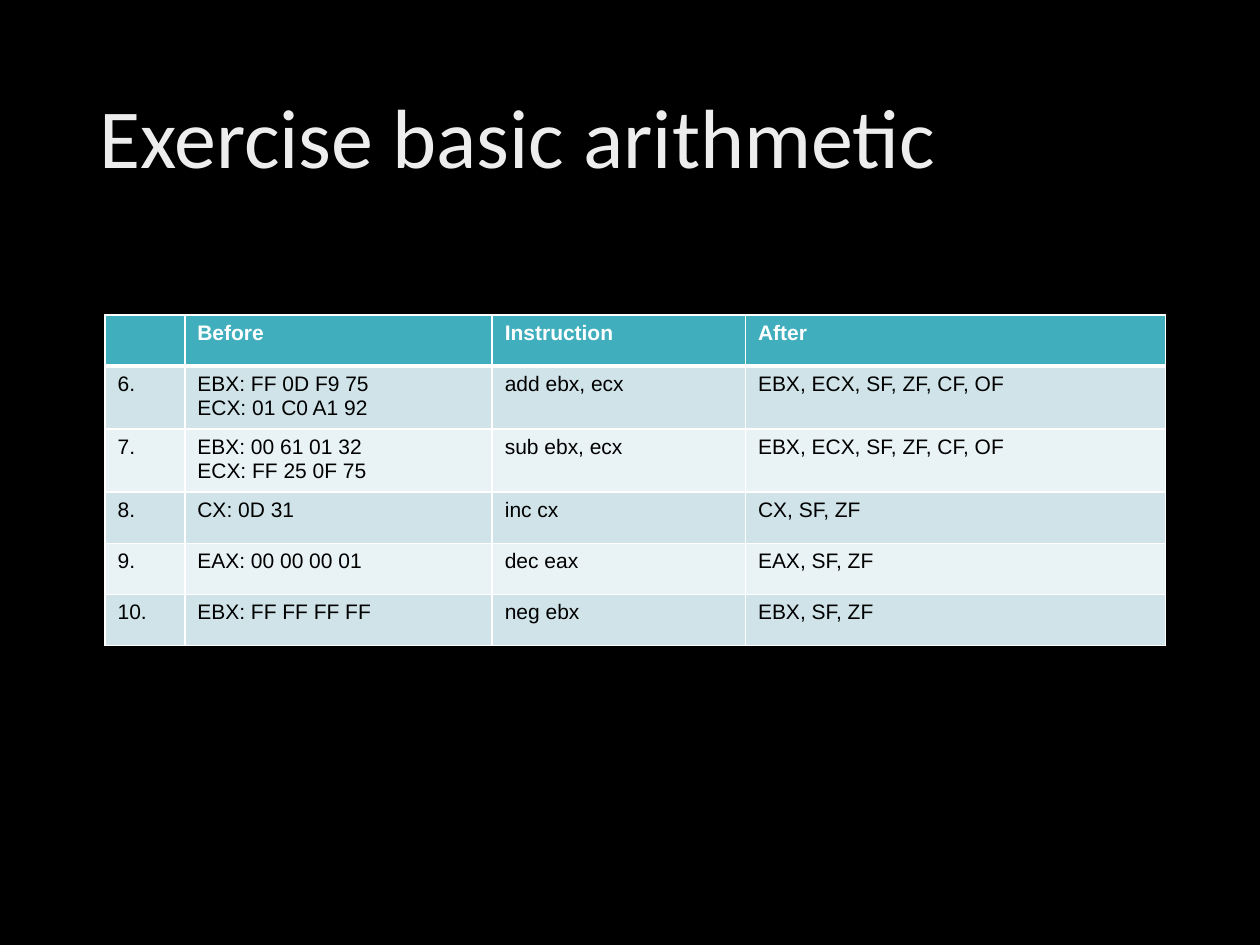
import pptx
import pptx.dml.color
import pptx.enum.text
import pptx.oxml.ns
import pptx.util
from lxml import etree

Pt = pptx.util.Pt
RGBColor = pptx.dml.color.RGBColor

BLACK = RGBColor(0x00, 0x00, 0x00)
WHITE = RGBColor(0xFF, 0xFF, 0xFF)
TITLE_GREY = RGBColor(0xED, 0xED, 0xED)
HEADER_TEAL = RGBColor(0x41, 0xAE, 0xBD)
BANDS = (RGBColor(0xCF, 0xE3, 0xE8), RGBColor(0xE9, 0xF2, 0xF4))

COLUMN_WIDTHS = (45.6, 175.7, 144.7, 240)
ROW_HEIGHT = 29.2
EXERCISES = (
    ("", "Before", "Instruction", "After"),
    ("6.", "EBX: FF 0D F9 75\nECX: 01 C0 A1 92", "add ebx, ecx", "EBX, ECX, SF, ZF, CF, OF"),
    ("7.", "EBX: 00 61 01 32\nECX: FF 25 0F 75", "sub ebx, ecx", "EBX, ECX, SF, ZF, CF, OF"),
    ("8.", "CX: 0D 31", "inc cx", "CX, SF, ZF"),
    ("9.", "EAX: 00 00 00 01", "dec eax", "EAX, SF, ZF"),
    ("10.", "EBX: FF FF FF FF", "neg ebx", "EBX, SF, ZF"),
)


def add_run(paragraph, text, font_name, size, color, bold=False):
    run = paragraph.add_run()
    run.text = text
    run.font.name = font_name
    run.font.size = Pt(size)
    run.font.bold = bold
    run.font.color.rgb = color


def add_title(slide, left, top, width, height):
    title = slide.shapes.add_textbox(Pt(left), Pt(top), Pt(width), Pt(height))
    frame = title.text_frame
    frame.word_wrap = True
    frame.vertical_anchor = pptx.enum.text.MSO_ANCHOR.MIDDLE
    heading = frame.paragraphs[0]
    heading.line_spacing = 0.9
    add_run(heading, "Exercise basic arithmetic", "Calibri", 48, TITLE_GREY)


def set_borders(cell, **widths):
    """Draw white cell borders; widths in points are keyed L, R, T, B, in that order."""
    qn = pptx.oxml.ns.qn
    properties = cell._tc.get_or_add_tcPr()
    for side, width in widths.items():
        line = etree.SubElement(properties, qn(f"a:ln{side}"), w=str(Pt(width)))
        fill = etree.SubElement(line, qn("a:solidFill"))
        etree.SubElement(fill, qn("a:srgbClr"), val=str(WHITE))


def fill_cell(cell, text, row):
    is_header = row == 0
    set_borders(cell, L=1, R=1, T=3 if row == 1 else 1, B=3 if is_header else 1)
    cell.fill.solid()
    cell.fill.fore_color.rgb = HEADER_TEAL if is_header else BANDS[(row - 1) % 2]
    frame = cell.text_frame
    for index, line in enumerate(text.split("\n")):
        paragraph = frame.add_paragraph() if index else frame.paragraphs[0]
        paragraph.font.size = Pt(12)
        if line:
            add_run(paragraph, line, "Arial", 12, WHITE if is_header else BLACK, is_header)


def add_exercise_table(slide, left, top):
    table = slide.shapes.add_table(
        len(EXERCISES), len(COLUMN_WIDTHS), Pt(left), Pt(top),
        Pt(sum(COLUMN_WIDTHS)), Pt(ROW_HEIGHT * len(EXERCISES))).table
    for column, width in zip(table.columns, COLUMN_WIDTHS):
        column.width = Pt(width)
    for row, texts in enumerate(EXERCISES):
        table.rows[row].height = Pt(ROW_HEIGHT)
        for column, text in enumerate(texts):
            fill_cell(table.cell(row, column), text, row)


def main():
    deck = pptx.Presentation()
    deck.slide_width, deck.slide_height = Pt(720), Pt(540)
    slide = deck.slides.add_slide(deck.slide_layouts[6])
    slide.background.fill.solid()
    slide.background.fill.fore_color.rgb = BLACK
    add_title(slide, 49.7, 28.8, 620.6, 104.4)
    add_exercise_table(slide, 60, 180)
    deck.save("out.pptx")


if __name__ == "__main__":
    main()
